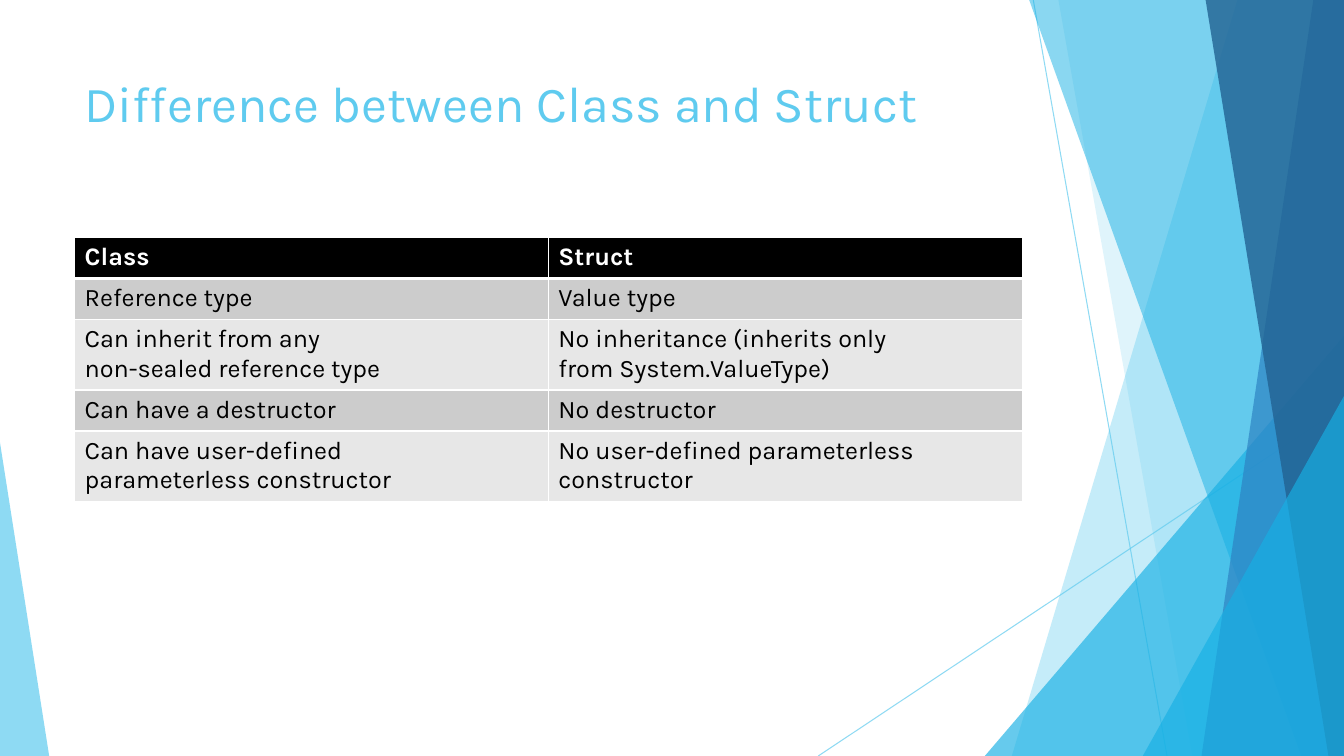
"""Build the slide that compares classes and structs in a table."""
from lxml.etree import SubElement
from pptx import Presentation
from pptx.dml.color import RGBColor
from pptx.enum.shapes import MSO_CONNECTOR, MSO_SHAPE
from pptx.enum.text import MSO_ANCHOR
from pptx.oxml import parse_xml
from pptx.oxml.ns import nsdecls, qn
from pptx.util import Cm, Pt

COLORS = {
    "sky": "5FCBEF",
    "cyan": "17B0E4",
    "blue": "2E83C3",
    "navy": "226292",
    "white": "FFFFFF",
    "black": "000000",
    "dark_row": "CCCCCC",
    "light_row": "E7E7E7",
}
FONT = "Karla"
WIDTH, HEIGHT = 33.87, 19.05
MARGIN, CONTENT_WIDTH = 1.88, 23.88


def set_color(color_format, name, opacity):
    """Give a solid fill a palette colour and an opacity in percent."""
    color_format.fore_color.rgb = RGBColor.from_string(COLORS[name])
    solid = color_format._xPr.find(qn("a:solidFill"))
    SubElement(solid[0], qn("a:alpha")).set("val", str(opacity * 1000))


def set_font(paragraph, size, color, bold=False):
    """Set the font of a whole paragraph."""
    paragraph.font.name = FONT
    paragraph.font.size = Pt(size)
    paragraph.font.bold = bold
    paragraph.font.color.rgb = RGBColor.from_string(COLORS[color])


presentation = Presentation()
presentation.slide_width, presentation.slide_height = Cm(WIDTH), Cm(HEIGHT)
slide = presentation.slides.add_slide(presentation.slide_layouts[6])
shapes = slide.shapes

for ends in [(26.04, 0, 29.41, HEIGHT), (WIDTH, 10.24, 20.62, HEIGHT)]:
    connector = shapes.add_connector(MSO_CONNECTOR.STRAIGHT, *map(Cm, ends))
    connector.line.width = Pt(0.75)
    connector.line.fill.solid()
    set_color(connector.line.fill, "sky", 70)
    SubElement(connector._element.spPr, qn("a:effectLst"))

# band: x at top, x at bottom; triangle: left, top, width, apex
facets = [
    ("band", (31.19, 25.5), "sky", 36),
    ("band", (26.67, 30.05), "sky", 20),
    ("triangle", (24.82, 8.46, 9.05, 1), "cyan", 66),
    ("band", (25.93, 32.79), "cyan", 50),
    ("band", (33.1, 30.28), "blue", 70),
    ("band", (30.38, 33.48), "navy", 80),
    ("triangle", (28.8, 9.98, 5.07, 1), "cyan", 66),
    ("triangle", (0, 11.15, 1.24, 0), "sky", 70),
]
for kind, geometry, color, opacity in facets:
    if kind == "band":
        top_x, bottom_x = geometry
        builder = shapes.build_freeform(Cm(top_x), Cm(-0.02))
        corners = [(WIDTH, -0.02), (WIDTH, HEIGHT), (bottom_x, HEIGHT)]
        builder.add_line_segments([(Cm(x), Cm(y)) for x, y in corners])
        shape = builder.convert_to_shape()
    else:
        left, top, width, apex = geometry
        shape = shapes.add_shape(
            MSO_SHAPE.ISOSCELES_TRIANGLE, Cm(left), Cm(top), Cm(width), Cm(HEIGHT - top))
        shape.adjustments[0] = apex
    shape.shadow.inherit = False
    shape.line.fill.background()
    shape.fill.solid()
    set_color(shape.fill, color, opacity)

title = shapes.add_textbox(Cm(MARGIN), Cm(1.7), Cm(CONTENT_WIDTH), Cm(3.66))
title.text_frame.word_wrap = True
title.text_frame.vertical_anchor = MSO_ANCHOR.TOP
title.text_frame.text = "Difference between Class and Struct"
set_font(title.text_frame.paragraphs[0], 36, "sky")

rows = [
    ("Class", "Struct"),
    ("Reference type", "Value type"),
    ("Can inherit from any\nnon-sealed reference type",
     "No inheritance (inherits only\nfrom System.ValueType)"),
    ("Can have a destructor", "No destructor"),
    ("Can have user-defined\nparameterless constructor",
     "No user-defined parameterless\nconstructor"),
]
table = shapes.add_table(
    len(rows), 2, Cm(MARGIN), Cm(5.99), Cm(CONTENT_WIDTH), Cm(6.6)).table
for row_index, texts in enumerate(rows):
    table.rows[row_index].height = Cm(1.75 if "\n" in texts[0] else 1.03)
    header = row_index == 0
    fill = "black" if header else ("light_row", "dark_row")[row_index % 2]
    for column_index, text in enumerate(texts):
        cell = table.cell(row_index, column_index)
        cell.text = text
        cell.fill.solid()
        cell.fill.fore_color.rgb = RGBColor.from_string(COLORS[fill])
        for paragraph in cell.text_frame.paragraphs:
            set_font(paragraph, 18, "white" if header else "black", header)
        top_width = 3 if row_index == 1 else 1
        bottom_width = 3 if header else 1
        borders = [("lnL", 1), ("lnR", 1), ("lnT", top_width), ("lnB", bottom_width)]
        for position, (side, points) in enumerate(borders):
            border = parse_xml(
                f'<a:{side} {nsdecls("a")} w="{Pt(points)}"><a:solidFill>'
                f'<a:srgbClr val="{COLORS["white"]}"/></a:solidFill></a:{side}>')
            cell._tc.get_or_add_tcPr().insert(position, border)

presentation.save("out.pptx")
